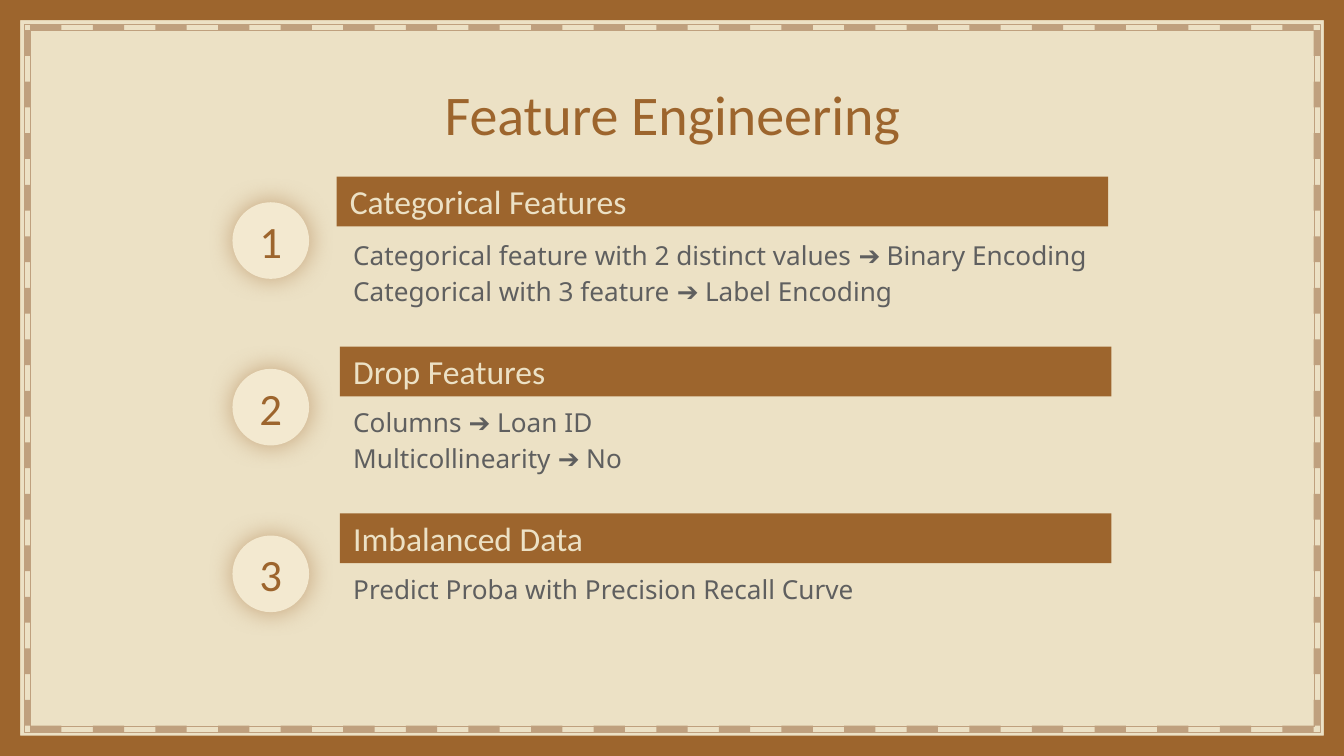
from lxml.etree import SubElement
from pptx import Presentation
from pptx.dml.color import RGBColor
from pptx.enum.shapes import MSO_SHAPE as Preset
from pptx.enum.text import MSO_ANCHOR as Anchor, PP_ALIGN as Align
from pptx.oxml.ns import qn
from pptx.util import Inches, Pt

BROWN = RGBColor(0x9D, 0x65, 0x2D)
TAN = RGBColor(0xBF, 0xA0, 0x7E)
SAND = RGBColor(0xEC, 0xE1, 0xC5)
CREAM = RGBColor(0xF3, 0xE9, 0xD0)
GREY = RGBColor(0x5F, 0x5F, 0x5F)

COLUMNS, ROWS = 100, 56.25  # square cells of a tenth of an inch
BORDER, OUTER, INNER = 1.5, 1.8, 2.25  # insets of the frame, in cells
STEP_PITCH = 12.4

STEPS = [
    ("Categorical Features",
     ["Categorical feature with 2 distinct values ➔ Binary Encoding",
      "Categorical with 3 feature ➔ Label Encoding"]),
    ("Drop Features", ["Columns ➔ Loan ID", "Multicollinearity ➔ No"]),
    ("Imbalanced Data", ["Predict Proba with Precision Recall Curve"]),
]

TITLE = {"name": "Calibri", "size": Pt(30), "color": BROWN}
NUMBER = {"name": "Calibri", "size": Pt(24), "color": BROWN}
HEADING = {"name": "Calibri", "size": Pt(18), "color": SAND}
BODY = {"name": "Noto Sans", "size": Pt(14), "color": GREY}


def cells(*counts):
    return [Inches(count / 10) for count in counts]


def corners(left, top, right, bottom):
    return [(left, top), (left, bottom), (right, bottom), (right, top)]


def inset_corners(inset):
    return corners(inset, inset, COLUMNS - inset, ROWS - inset)


def dashes(start, end, intervals):
    """Yield the start and end of every other interval."""
    length = (end - start) / intervals
    for index in range(0, intervals, 2):
        yield start + index * length, start + (index + 1) * length


class Deck:
    def __init__(self):
        self.file = Presentation()
        self.file.slide_width, self.file.slide_height = cells(COLUMNS, ROWS)
        self.slide = self.file.slides.add_slide(self.file.slide_layouts[6])
        background = self.slide.background.fill
        background.solid()
        background.fore_color.rgb = SAND

    def paint(self, shape, fill=None, line=None):
        shape.shadow.inherit = False
        if fill is None:
            shape.fill.background()
        else:
            shape.fill.solid()
            shape.fill.fore_color.rgb = fill
        if line is None:
            shape.line.fill.background()
        else:
            shape.line.color.rgb = line
            shape.line.width = Pt(0.08)

    def outline(self, contours, **colours):
        """Draw closed contours, each a list of cell points, as one shape."""
        first, *others = [[cells(*point) for point in contour]
                          for contour in contours]
        builder = self.slide.shapes.build_freeform(*first[0], scale=1.0)
        builder.add_line_segments(first[1:], close=True)
        for contour in others:
            builder.move_to(*contour[0])
            builder.add_line_segments(contour[1:], close=True)
        self.paint(builder.convert_to_shape(), **colours)

    def set_lines(self, shape, lines, style, align=Align.LEFT,
                  anchor=Anchor.TOP, spacing=1.0):
        frame = shape.text_frame
        layout = {"word_wrap": True, "vertical_anchor": anchor}
        layout.update({f"margin_{side}": Inches(0.1)
                       for side in ("left", "top", "right", "bottom")})
        for key, value in layout.items():
            setattr(frame, key, value)
        frame.text = "\n".join(lines)
        for paragraph in frame.paragraphs:
            paragraph.alignment = align
            paragraph.line_spacing = spacing
            font = paragraph.runs[0].font
            for key, value in style.items():
                if key == "color":
                    font.color.rgb = value
                else:
                    setattr(font, key, value)

    def text(self, box, lines, style, **layout):
        self.set_lines(self.slide.shapes.add_textbox(*cells(*box)),
                       lines, style, **layout)

    def panel(self, preset, box, label, style, fill, align=Align.LEFT):
        shape = self.slide.shapes.add_shape(preset, *cells(*box))
        self.paint(shape, fill=fill)
        self.set_lines(shape, [label], style, align=align,
                       anchor=Anchor.MIDDLE)
        return shape

    def badge(self, box, label):
        """Draw a numbered disc with a soft glow-like shadow."""
        disc = self.panel(Preset.OVAL, box, label, NUMBER, CREAM, Align.CENTER)
        effects = disc._element.spPr.find(qn("a:effectLst"))
        shadow = SubElement(effects, qn("a:outerShdw"), blurRad=str(Pt(13.5)),
                            dist="0", dir="0", algn="bl", rotWithShape="0")
        colour = SubElement(shadow, qn("a:srgbClr"), val=str(BROWN))
        SubElement(colour, qn("a:alpha"), val="50000")

    def frame(self):
        self.outline([inset_corners(BORDER), inset_corners(0)[::-1]],
                     fill=BROWN)
        right, bottom = COLUMNS - INNER, ROWS - INNER
        stitches = [corners(start, top, end, top + INNER - OUTER)
                    for top in (OUTER, bottom)
                    for start, end in dashes(INNER, right, 41)]
        stitches += [corners(left, start, left + INNER - OUTER, end)
                     for left in (OUTER, right)
                     for start, end in dashes(INNER, bottom, 27)]
        self.outline(stitches, fill=TAN)
        for inset in (OUTER, INNER):
            self.outline([inset_corners(inset)], line=TAN)


def main():
    deck = Deck()
    deck.frame()
    deck.text((7.9, 4.9, 84.3, 6.3), ["Feature Engineering"], TITLE,
              align=Align.CENTER)
    for index, (heading, details) in enumerate(STEPS):
        drop = index * STEP_PITCH
        nudge = 0.25 if index == 0 else 0  # the first bar sits up and left
        deck.text((25.3, 16.5 + drop, 57.4, 6.6), details, BODY, spacing=1.15)
        deck.badge((17.3, 15.05 + drop, 5.7, 5.7), str(index + 1))
        deck.panel(Preset.RECTANGLE,
                   (25.3 - nudge, 13.4 - nudge + drop, 57.4, 3.7),
                   heading, HEADING, BROWN)
    deck.file.save("out.pptx")


if __name__ == "__main__":
    main()
